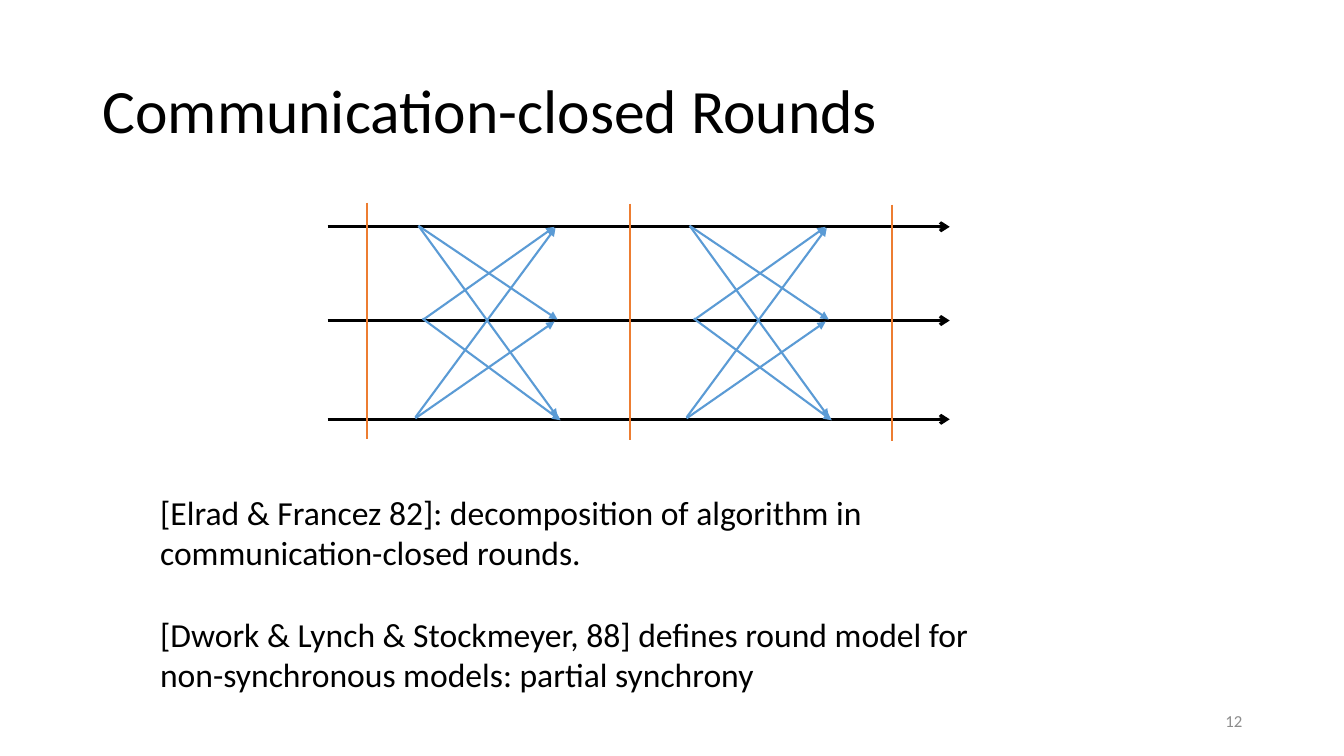
from lxml import etree
from pptx import Presentation
from pptx import util as u
from pptx.dml.color import RGBColor
from pptx.enum import shapes, text
from pptx.oxml import ns

BLACK = RGBColor(0x00, 0x00, 0x00)
GRAY = RGBColor(0x8C, 0x8C, 0x8C)
ORANGE = RGBColor(0xED, 0x7D, 0x31)
BLUE = RGBColor(0x5B, 0x9B, 0xD5)

# Diagram measures in inches, relative to the diagram box
PROCESS_Y = (0.24, 1.17, 2.15)
BARRIER_X, BARRIER_GAP, BARRIER_H = 0.39, 2.605, 2.35
ROUND_X, ROUND_GAP = 0.87, 2.69
# Messages of one round: start and end, relative to the round's left edge
MESSAGES = (
    (0.03, 0.23, 1.41, 1.16),
    (0.03, 0.23, 1.41, 2.13),
    (0.08, 1.16, 1.38, 0.24),
    (0.00, 2.13, 1.39, 0.25),
    (0.00, 2.14, 1.38, 1.18),
    (0.07, 1.15, 1.44, 2.16),
)
REFERENCES = (
    "[Elrad & Francez 82]: decomposition of algorithm in communication-closed rounds.",
    "[Dwork & Lynch & Stockmeyer, 88] defines round model for non-synchronous models: "
    "partial synchrony",
)


def add_text(s, box, words, size, color=BLACK, anchor=text.MSO_ANCHOR.TOP,
             align=text.PP_ALIGN.LEFT, spacing=1.0):
    tf = s.shapes.add_textbox(*map(u.Inches, box)).text_frame
    tf.word_wrap = True
    tf.vertical_anchor = anchor
    tf.text = words
    p = tf.paragraphs[0]
    p.alignment = align
    p.line_spacing = spacing
    font = p.runs[0].font
    font.name, font.size = "Calibri", u.Pt(size)
    font.color.rgb = color


def add_line(s, x1, y1, x2, y2, color, width, head=None):
    line = s.shapes.add_connector(shapes.MSO_CONNECTOR.STRAIGHT,
                                  *map(u.Inches, (x1, y1, x2, y2)))
    line.line.color.rgb = color
    line.line.width = u.Pt(width)
    if head:
        etree.SubElement(line.line._get_or_add_ln(), ns.qn("a:tailEnd"), type=head)
    etree.SubElement(line._element.spPr, ns.qn("a:effectLst"))


def add_rounds(s, left, top, width):
    # Process time lines
    for y in PROCESS_Y:
        add_line(s, left, top + y, left + width, top + y, BLACK, 2.25, "arrow")
    # Messages of the two rounds
    for i in range(2):
        x = left + ROUND_X + i * ROUND_GAP
        for x1, y1, x2, y2 in MESSAGES:
            add_line(s, x + x1, top + y1, x + x2, top + y2, BLUE, 1.5, "triangle")
    # Round boundaries, each slightly lower than the last
    for i in range(3):
        x, y = left + BARRIER_X + i * BARRIER_GAP, top + i * 0.01
        add_line(s, x, y, x, y + BARRIER_H, ORANGE, 1.5)


def add_references(s, left, top, width, row_height):
    for i, words in enumerate(REFERENCES):
        add_text(s, (left, top + i * row_height, width, 0.91), words, 24)


def main():
    prs = Presentation()
    prs.slide_width, prs.slide_height = u.Inches(13.33), u.Inches(7.5)
    s = prs.slides.add_slide(prs.slide_layouts[6])

    # Title
    add_text(s, (0.92, 0.4, 11.5, 1.45), "Communication-closed Rounds", 44,
             anchor=text.MSO_ANCHOR.MIDDLE, spacing=0.9)
    # Diagram and references
    add_rounds(s, 3.25, 2.01, 6.17)
    add_references(s, 1.49, 4.83, 8.54, 1.21)
    # Slide number
    add_text(s, (9.42, 6.95, 3, 0.4), "12", 12, GRAY,
             text.MSO_ANCHOR.MIDDLE, text.PP_ALIGN.RIGHT)

    prs.save("out.pptx")


if __name__ == "__main__":
    main()
